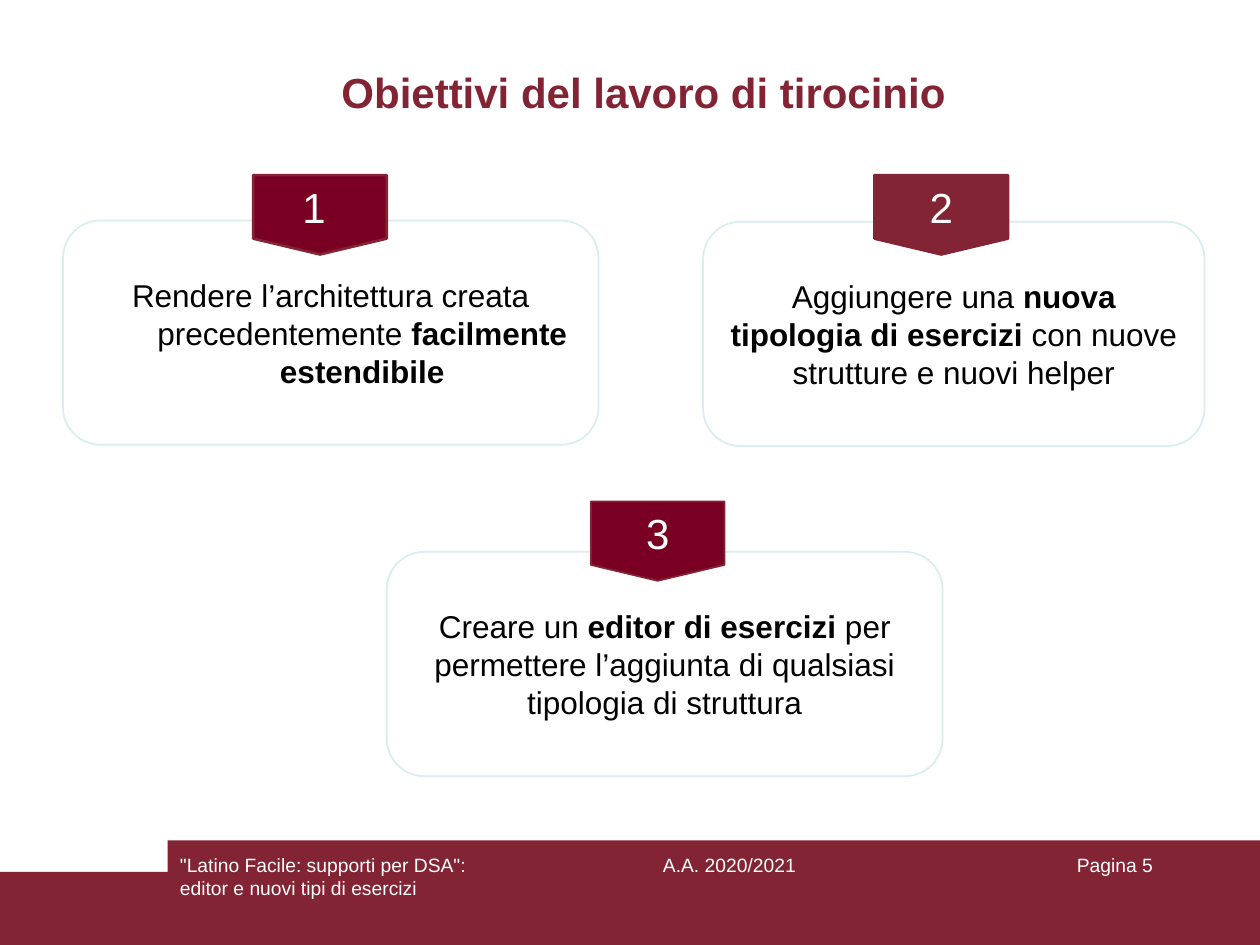
from typing import NamedTuple

from pptx import Presentation
from pptx import util as u
from pptx.dml.color import RGBColor
from pptx.enum import shapes, text

WINE = RGBColor(0x82, 0x24, 0x33)
DARK = RGBColor(0x79, 0x00, 0x22)
PALE = RGBColor(0xDA, 0xED, 0xEF)
WHITE = RGBColor(0xFF, 0xFF, 0xFF)
BLACK = RGBColor(0x00, 0x00, 0x00)

LEFT, MID, RIGHT = (text.PP_ALIGN.LEFT, text.PP_ALIGN.CENTER,
                    text.PP_ALIGN.RIGHT)
CARD_H = 1.78
BADGE_W, BADGE_H = 1.06, 0.63


class Run(NamedTuple):
    words: str
    bold: bool = False


class Goal(NamedTuple):
    left: float
    top: float
    width: float
    runs: list[Run]
    label: str
    badge_x: float
    badge_y: float
    fill: RGBColor
    edge: float
    hang: float = 0


class Note(NamedTuple):
    left: float
    width: float
    lines: list[str]
    align: text.PP_ALIGN


GOALS = [
    Goal(0.5, 1.75, 4.25,
         [Run("Rendere l’architettura creata precedentemente "),
          Run("facilmente estendibile", True)],
         "1 ", 2.01, 1.39, DARK, 1.5, hang=0.5),
    Goal(5.58, 1.76, 3.98,
         [Run("Aggiungere una "), Run("nuova tipologia di esercizi ", True),
          Run("con nuove strutture e nuovi helper")],
         "2", 6.94, 1.39, WINE, 1.5),
    Goal(3.07, 4.38, 4.41,
         [Run("Creare un "), Run("editor di esercizi ", True),
          Run("per permettere l’aggiunta di qualsiasi tipologia di struttura")],
         "3", 4.69, 3.98, DARK, 1),
]
NOTES = [
    Note(4.75, 2.08, ["A.A. 2020/2021"], MID),
    Note(1.33, 3.17, ['"Latino Facile: supporti per DSA":',
                      "editor e nuovi tipi di esercizi"], LEFT),
    Note(7.17, 2.08, ["Pagina 5"], RIGHT),
]


def write(par, runs: list[Run], size: float, color: RGBColor,
          align: text.PP_ALIGN = MID) -> None:
    par.alignment = align
    for words, bold in runs:
        run = par.add_run()
        run.text = words
        look = {"name": "Arial", "size": u.Pt(size), "bold": bold}
        for key, value in look.items():
            setattr(run.font, key, value)
        run.font.color.rgb = color


def set_frame(frame, anchor: text.MSO_ANCHOR) -> None:
    look = {"word_wrap": True, "auto_size": text.MSO_AUTO_SIZE.NONE,
            "vertical_anchor": anchor}
    for key, value in look.items():
        setattr(frame, key, value)


def add_block(slide, kind, left: float, top: float, width: float,
              height: float, fill: RGBColor, line: RGBColor | None = None,
              edge: float = 1):
    block = slide.shapes.add_shape(
        kind, *map(u.Inches, (left, top, width, height)))
    block.shadow.inherit = False
    block.fill.solid()
    block.fill.fore_color.rgb = fill
    if line is None:
        block.line.fill.background()
    else:
        block.line.color.rgb = line
        block.line.width = u.Pt(edge)
    set_frame(block.text_frame, text.MSO_ANCHOR.MIDDLE)
    return block


def add_card(slide, goal: Goal) -> None:
    card = add_block(slide, shapes.MSO_SHAPE.ROUNDED_RECTANGLE, goal.left,
                     goal.top, goal.width, CARD_H, WHITE, PALE)
    par = card.text_frame.paragraphs[0]
    if goal.hang:
        props = par._p.get_or_add_pPr()
        props.set("marL", str(u.Inches(goal.hang)))
        props.set("indent", str(-u.Inches(goal.hang)))
    write(par, goal.runs, 18, BLACK)


def add_badge(slide, goal: Goal) -> None:
    badge = add_block(slide, shapes.MSO_SHAPE.FLOWCHART_OFFPAGE_CONNECTOR,
                      goal.badge_x, goal.badge_y, BADGE_W, BADGE_H,
                      goal.fill, WINE, goal.edge)
    write(badge.text_frame.paragraphs[0], [Run(goal.label)], 24, WHITE)


def add_note(slide, note: Note) -> None:
    box = slide.shapes.add_textbox(
        *map(u.Inches, (note.left, 6.72, note.width, 0.5)))
    frame = box.text_frame
    set_frame(frame, text.MSO_ANCHOR.TOP)
    for i, line in enumerate(note.lines):
        par = frame.add_paragraph() if i else frame.paragraphs[0]
        write(par, [Run(line)], 11, WHITE, note.align)


def add_title(slide) -> None:
    title = slide.shapes.title
    place = {"left": 0.98, "top": 0.45, "width": 8.35, "height": 0.55}
    for key, value in place.items():
        setattr(title, key, u.Inches(value))
    set_frame(title.text_frame, text.MSO_ANCHOR.MIDDLE)
    write(title.text_frame.paragraphs[0],
          [Run("Obiettivi del lavoro di tirocinio ", True)], 24, WINE)


def main() -> None:
    deck = Presentation()
    deck.slide_width, deck.slide_height = u.Inches(10), u.Inches(7.5)
    slide = deck.slides.add_slide(deck.slide_layouts[5])
    add_title(slide)
    for left, top in ((0, 6.92), (1.33, 6.67)):
        add_block(slide, shapes.MSO_SHAPE.RECTANGLE, left, top,
                  10 - left, 7.5 - top, WINE)
    for note in NOTES:
        add_note(slide, note)
    for goal in GOALS:
        add_card(slide, goal)
        add_badge(slide, goal)
    deck.save("out.pptx")


if __name__ == "__main__":
    main()
